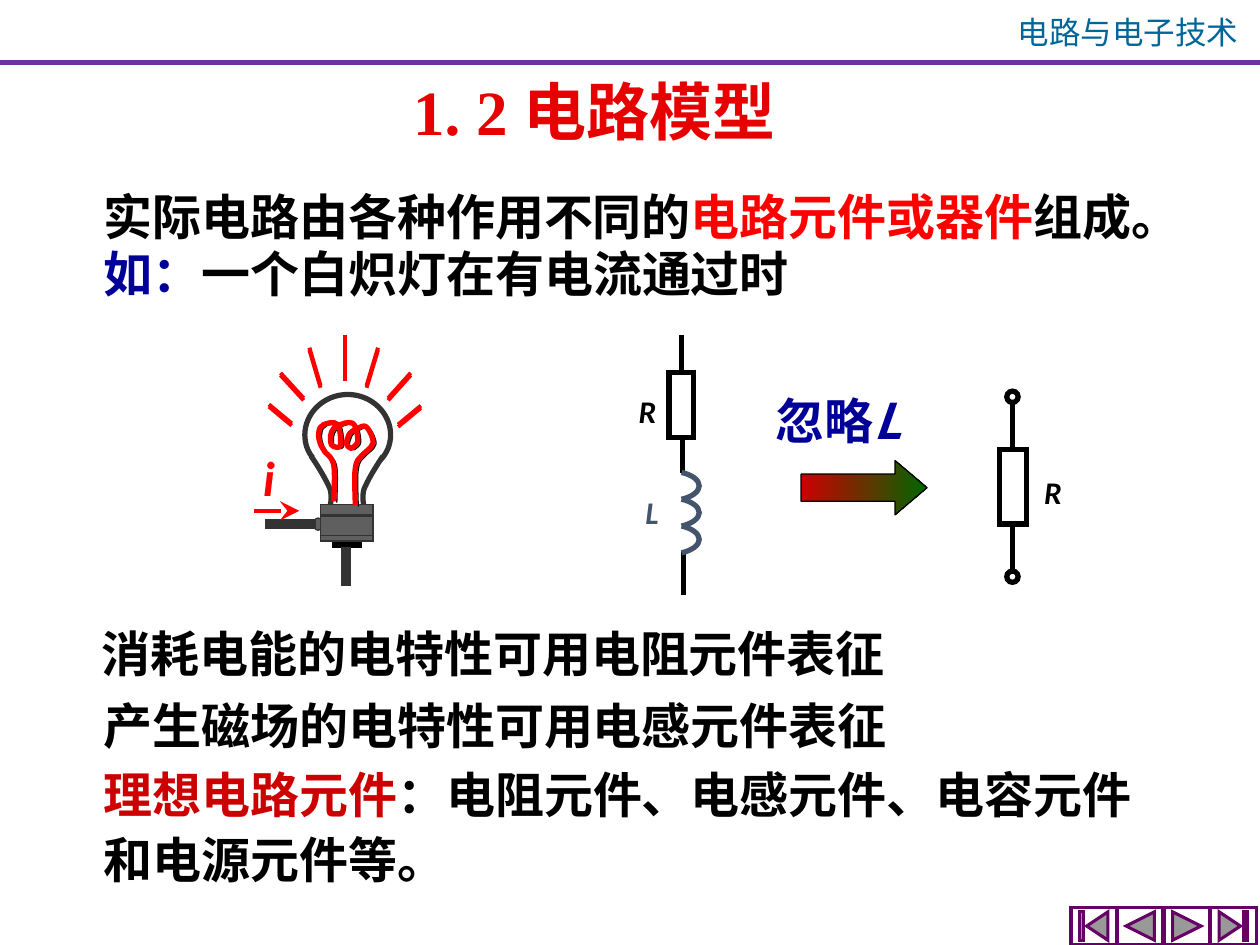
from pptx import Presentation
from pptx.dml.color import RGBColor
from pptx.enum.shapes import MSO_CONNECTOR, MSO_SHAPE
from pptx.enum.text import MSO_ANCHOR, MSO_AUTO_SIZE, PP_ALIGN
from pptx.oxml.ns import qn
from pptx.util import Pt
from lxml.etree import SubElement

COLORS = {
    "black": "000000", "white": "FFFFFF", "red": "FF0000", "title": "E60000",
    "term": "CC0000", "navy": "000099", "header": "006699", "rule": "7030A0",
    "button": "660066", "metal": "5F5F5F", "dark": "333333", "coil": "44546A",
    "green": "006600",
}
RGB = {name: RGBColor.from_string(value) for name, value in COLORS.items()}
CJK = "Noto Sans CJK SC"

deck = Presentation()
deck.slide_width, deck.slide_height = Pt(720), Pt(540)
page = deck.slides.add_slide(deck.slide_layouts[6])


def write(text, left, top, width, height, color="black", size=28, font=CJK, bold=True,
          italic=False, align=PP_ALIGN.LEFT, anchor=MSO_ANCHOR.MIDDLE, spacing=None,
          grow=True):
    """Add a text box; text is a string or a list of (string, color, italic)."""
    box = page.shapes.add_textbox(Pt(left), Pt(top), Pt(width), Pt(height))
    frame = box.text_frame
    frame.word_wrap = True
    frame.auto_size = MSO_AUTO_SIZE.SHAPE_TO_FIT_TEXT if grow else MSO_AUTO_SIZE.NONE
    frame.vertical_anchor = anchor
    para = frame.paragraphs[0]
    para.alignment = align
    if spacing:
        para.line_spacing = spacing
    parts = [(text, color, italic)] if isinstance(text, str) else text
    for words, tone, slanted in parts:
        span = para.add_run()
        span.text = words
        span.font.size, span.font.name = Pt(size), font
        span.font.bold, span.font.italic = bold, slanted
        span.font.color.rgb = RGB[tone]
        SubElement(span.font._element, qn("a:ea")).set("typeface", CJK)


def draw_curve(points, color, width):
    """Draw an open outline of cubic curves: a start, then triples of points."""
    builder = page.shapes.build_freeform(Pt(points[0][0]), Pt(points[0][1]))
    builder.add_line_segments([(Pt(x), Pt(y)) for x, y in points[1:]], close=False)
    curve = builder.convert_to_shape()
    curve.shadow.inherit = False
    curve.fill.background()
    curve.line.color.rgb, curve.line.width = RGB[color], Pt(width)
    # Join every three straight segments into one cubic curve
    segments = list(curve._element.iter(qn("a:lnTo")))
    outline = segments[0].getparent()
    for i in range(0, len(segments), 3):
        cubic = SubElement(outline, qn("a:cubicBezTo"))
        for segment in segments[i:i + 3]:
            cubic.append(segment[0])
            outline.remove(segment)


# Glass bulb and its neck
draw_curve([(178.6, 261.4), (175.7, 257.8), (174.2, 253.4), (174.2, 248.4),
            (174.2, 236.2), (185, 225.4), (198.7, 225.4),
            (212.4, 225.4), (223.2, 236.2), (223.2, 248.4),
            (223.2, 254.2), (221, 259.2), (217.4, 262.8)], "dark", 3)
neck = [(177.8, 260.6), (182.2, 267.1), (186.5, 274.3), (188.6, 279.4),
        (190.1, 284.4), (188.6, 288.7), (188.6, 290.9)]
draw_curve(neck, "dark", 3)
draw_curve([(396.7 - x, y) for x, y in neck], "dark", 3)

# Preset shapes: kind, left, top, width, height, fill, line color, line width
shapes = [
    # Lamp base
    (MSO_SHAPE.OVAL, 179.3, 296, 5, 7, "metal", "dark", 0.75),
    (MSO_SHAPE.RECTANGLE, 190, 309, 16.5, 3.6, "black", "black", 0.75),
    (MSO_SHAPE.RECTANGLE, 183, 288.2, 30.2, 20.9, "metal", "dark", 0.75),
    # Resistors and terminals
    (MSO_SHAPE.RECTANGLE, 382.3, 212.8, 14, 37.4, None, "black", 3),
    (MSO_SHAPE.RECTANGLE, 571, 257, 15.4, 42.5, None, "black", 3),
    (MSO_SHAPE.OVAL, 575.3, 223.5, 6.5, 6.5, None, "black", 3),
    (MSO_SHAPE.OVAL, 575.3, 326.3, 6.5, 6.5, None, "black", 3),
]
# Navigation buttons
buttons = [MSO_SHAPE.ACTION_BUTTON_BEGINNING, MSO_SHAPE.ACTION_BUTTON_BACK_OR_PREVIOUS,
           MSO_SHAPE.ACTION_BUTTON_FORWARD_OR_NEXT, MSO_SHAPE.ACTION_BUTTON_END]
shapes += [(kind, 612 + 26.6 * i, 518.4, 26, 21.6, "white", "button", 1.75)
           for i, kind in enumerate(buttons)]

for kind, left, top, width, height, fill, color, weight in shapes:
    shape = page.shapes.add_shape(kind, Pt(left), Pt(top), Pt(width), Pt(height))
    shape.shadow.inherit = False
    if fill:
        shape.fill.solid()
        shape.fill.fore_color.rgb = RGB[fill]
    else:
        shape.fill.background()
    shape.line.color.rgb, shape.line.width = RGB[color], Pt(weight)
    SubElement(shape._element.spPr.find(qn("a:ln")), qn("a:miter")).set("lim", "800000")

# Gradient arrow between the two circuits
arrow = page.shapes.add_shape(MSO_SHAPE.RIGHT_ARROW, Pt(457.8), Pt(263.2), Pt(72), Pt(31))
arrow.shadow.inherit = False
arrow.adjustments[0], arrow.adjustments[1] = 0.5, 0.59
arrow.fill.gradient()
arrow.fill.gradient_angle = 0
for stop, color, position in zip(arrow.fill.gradient_stops, ("term", "green"), (0, 1)):
    stop.color.rgb, stop.position = RGB[color], position
arrow.line.color.rgb, arrow.line.width = RGB["black"], Pt(0.75)

# Straight lines: from x, y, to x, y, color, width, arrowhead
lines = [
    # Header rule
    (0, 35.3, 720, 35.3, "rule", 1.5, False),
    (0, 36.5, 720, 36.5, "rule", 1.5, False),
    # Lamp cables and base seams
    (151.2, 299.5, 180.7, 299.5, "dark", 6, False),
    (197.7, 312.5, 197.7, 334.8, "dark", 6, False),
    (183, 294.5, 213, 294.5, "dark", 1.5, False),
    (183, 306, 213, 306, "dark", 0.75, False),
    # Current direction
    (145, 291.9, 171, 291.9, "red", 2.25, True),
    # Wires with resistor and coil
    (389.5, 191.5, 389.5, 211.7, "black", 3, False),
    (390, 250, 390, 270, "black", 3, False),
    (390.7, 314.6, 390.7, 339.8, "black", 3, False),
    # Wires with resistor only
    (578.7, 230.4, 578.7, 257, "black", 3, False),
    (578.7, 299.5, 578.7, 326.2, "black", 3, False),
]
# Light rays, doubled with a small drop
rays = [(197.3, 191.5, 197.3, 216.7), (176.8, 198.7, 183.2, 220.3),
        (160.3, 213.1, 173.5, 227.5), (153.7, 231.1, 166.7, 241.9),
        (216, 198.7, 209.5, 220.3), (234.7, 213.1, 221.8, 227.5),
        (240.5, 231.8, 227.5, 242.6)]
lines += [(x1, y1 + drop, x2, y2 + drop, "red", 2.25, False)
          for drop in (0, 1.3) for x1, y1, x2, y2 in rays]

for x1, y1, x2, y2, color, weight, has_head in lines:
    line = page.shapes.add_connector(MSO_CONNECTOR.STRAIGHT, Pt(x1), Pt(y1), Pt(x2), Pt(y2))
    line.line.color.rgb, line.line.width = RGB[color], Pt(weight)
    properties = line._element.spPr
    if has_head:
        head = SubElement(properties.find(qn("a:ln")), qn("a:tailEnd"))
        for name, value in (("type", "stealth"), ("w", "lg"), ("len", "lg")):
            head.set(name, value)
    SubElement(properties, qn("a:effectLst"))

# Filament: dark edge below, glowing wire on top
filament = [
    (190.8, 286.6), (190.8, 283), (191.5, 270.7), (190.8, 266.4),
    (190.1, 261.4), (187.2, 259.9), (185.8, 258.5), (185, 256.3), (184.3, 257), (183.6, 254.9),
    (182.9, 253.4), (181.4, 249.1), (182.2, 247), (182.2, 244.8), (183.6, 243.4), (185, 242.6),
    (187.2, 241.9), (190.8, 240.5), (193, 242.6), (194.4, 244.8), (195.1, 252.7), (194.4, 254.9),
    (194.4, 256.3), (190.1, 255.6), (189.4, 254.2), (188.6, 252.7), (188.6, 249.1), (189.4, 247),
    (190.1, 245.5), (190.8, 244.1), (193, 243.4), (194.4, 242.6), (199.4, 240.5), (201.6, 241.9),
    (203.8, 243.4), (204.5, 249.8), (204.5, 252), (204.5, 254.2), (201.6, 255.6), (200.9, 256.3),
    (200.2, 256.3), (198, 254.9), (198, 253.4), (198, 252), (198.7, 249.8), (199.4, 248.4),
    (200.2, 247), (202.3, 245.5), (204.5, 244.8), (205.9, 244.1), (208.1, 242.6), (209.5, 244.1),
    (211, 245.5), (213.8, 251.3), (213.1, 253.4), (212.4, 256.3), (208.1, 258.5), (206.6, 260.6),
    (204.5, 262.8), (203.8, 262.8), (203, 267.8), (202.3, 272.2), (203, 284.4), (203, 288.7),
]
draw_curve([(x + 1.7, y + 0.7) for x, y in filament], "black", 0.75)
draw_curve(filament, "red", 3)

# Coil of three equal turns
for turn in range(3):
    y = 270 + 15.3 * turn
    draw_curve([(389.5, y), (395.3, y + 1.3), (399.6, y + 4.3), (399.6, y + 7.7),
                (399.6, y + 11), (395.3, y + 14), (389.5, y + 15.3)], "coil", 3)

# Header and title
write("电路与电子技术", 569.3, 3.7, 150.5, 29, color="header", size=18, bold=False,
      align=PP_ALIGN.CENTER, anchor=MSO_ANCHOR.TOP)
write("1. 2 电路模型", 174.6, 42.1, 329.8, 41.8, color="title", size=36,
      font="Times New Roman", align=PP_ALIGN.CENTER, grow=False)

# Body text
write([("实际电路由各种作用不同的", "black", False), ("电路元件或器件", "red", False),
       ("组成。", "black", False)], 52.2, 99.7, 640, 40.3, anchor=MSO_ANCHOR.TOP, spacing=1.1)
write([("如：", "navy", False), ("一个白炽灯在有电流通过时", "black", False)],
      52.2, 135.4, 418.3, 41, anchor=MSO_ANCHOR.TOP)
write("消耗电能的电特性可用电阻元件表征", 51.1, 352.8, 473.8, 41)
write("产生磁场的电特性可用电感元件表征", 52.2, 393.8, 485.3, 41)
write([("理想电路元件", "term", False), ("：电阻元件、电感元件、电容元件和电源元件等。", "black", False)],
      52.2, 430, 612.7, 81.4, font="Times New Roman", anchor=MSO_ANCHOR.TOP, spacing=1.1)

# Circuit labels
write([("忽略", "navy", False), ("L", "navy", True)], 436, 219.6, 107.7, 41)
labels = [("i", 153.7, 272.8, "red", 28), ("R", 370, 235, "black", 18),
          ("L", 372.6, 292.7, "coil", 18), ("R", 601.7, 281.2, "black", 18)]
for label, x, y, color, size in labels:
    write(label, x - 18, y - 20.5, 36, 41, color=color, size=size, font="Calibri",
          italic=True, align=PP_ALIGN.CENTER, grow=False)

deck.save("out.pptx")
